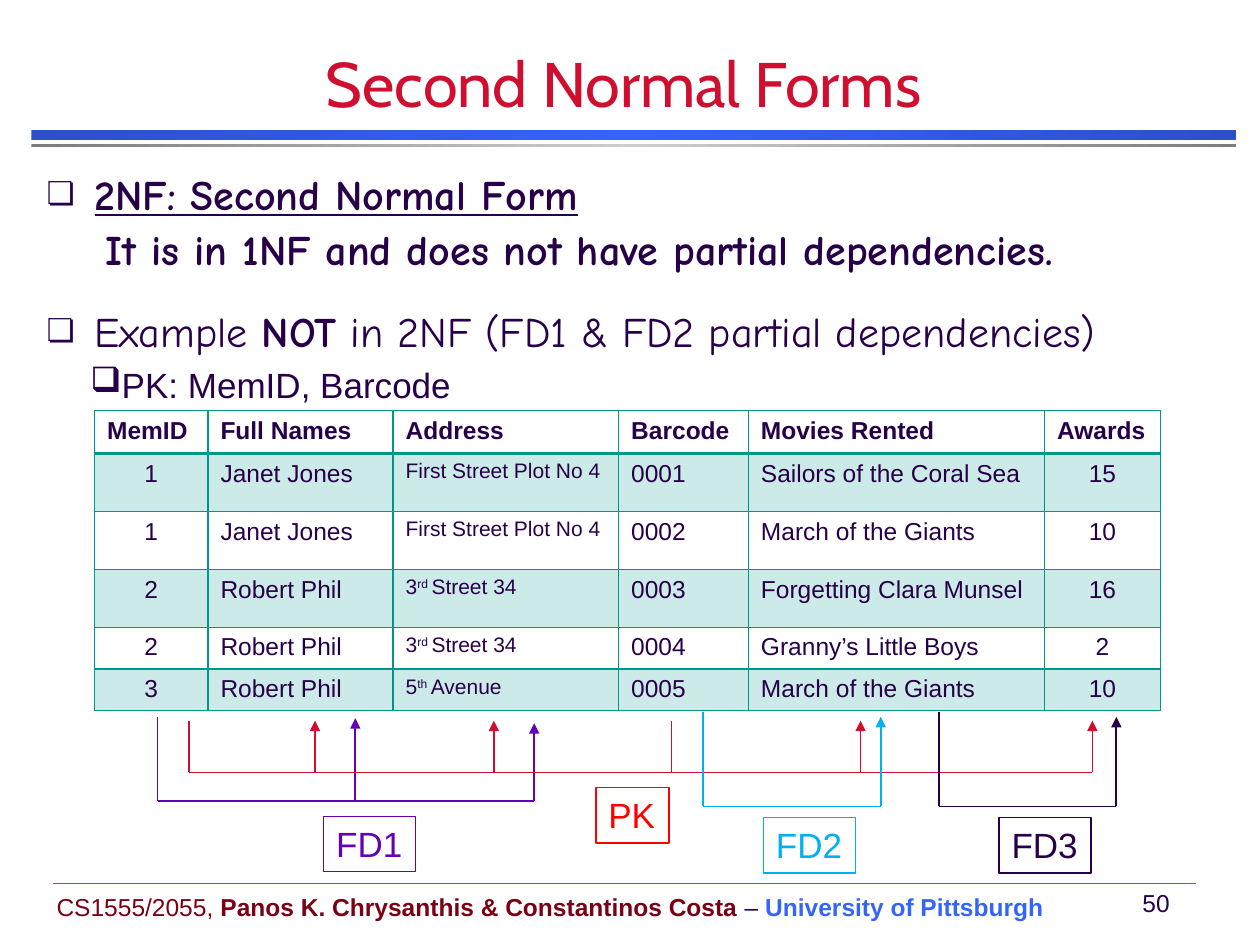
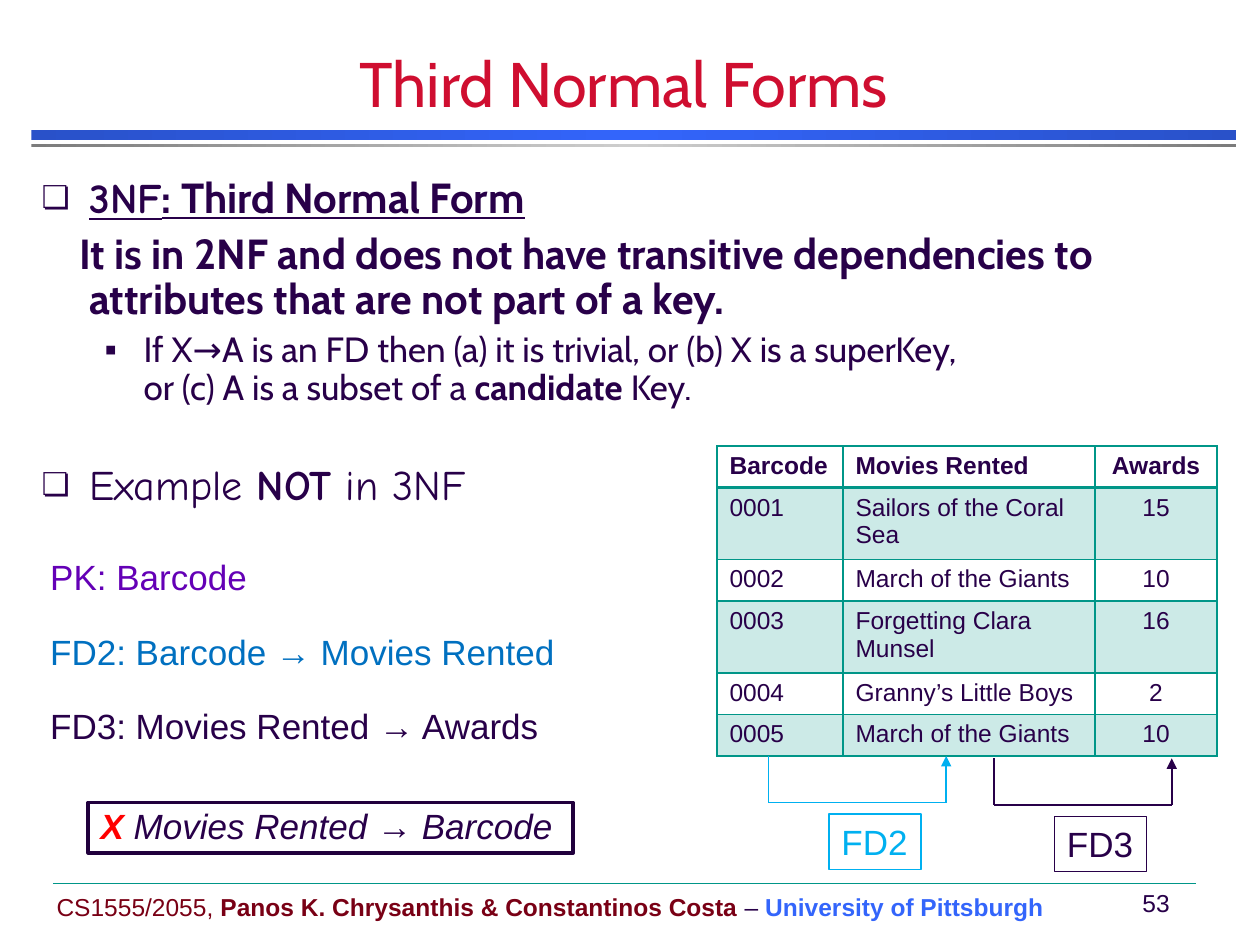
from copy import deepcopy
from dataclasses import dataclass

from pptx import Presentation
from pptx.dml.color import RGBColor
from pptx.enum.shapes import MSO_CONNECTOR, MSO_SHAPE
from pptx.enum.text import MSO_ANCHOR, MSO_AUTO_SIZE, PP_ALIGN
from pptx.oxml import parse_xml
from pptx.oxml.ns import nsdecls, qn
from pptx.util import Inches, Pt

RECT, STRAIGHT = MSO_SHAPE.RECTANGLE, MSO_CONNECTOR.STRAIGHT
LEFT, CENTER = PP_ALIGN.LEFT, PP_ALIGN.CENTER
TOP, MIDDLE, BOTTOM = MSO_ANCHOR.TOP, MSO_ANCHOR.MIDDLE, MSO_ANCHOR.BOTTOM
NO_FIT = MSO_AUTO_SIZE.NONE


@dataclass(frozen=True)
class Theme:
    ink: str = "280049"
    title: str = "CF0E30"
    teal: str = "009688"
    blue: str = "3365FB"
    maroon: str = "790015"
    red: str = "FF0000"
    purple: str = "6400B6"
    sky: str = "00B0F0"
    link: str = "0070C0"
    frame: str = "21003D"
    blue_band: tuple = ("2951C9", "3365FB", "2951C9")
    grey_band: tuple = ("7C7C7C", "CECECE", "7C7C7C")
    sans: str = "Arial"
    head: str = "Cabin"
    hand: str = "Comic Neue"
    title_size: int = 36
    body_size: int = 24
    note_size: int = 20
    cell_size: int = 14
    small_size: int = 12


T = Theme()
NOTE = dict(name=T.sans, size=T.note_size, color=T.ink)
FOOT = dict(name=T.sans, size=T.cell_size, color=T.ink)
HAND = dict(name=T.hand, size=T.body_size, color=T.ink)
HEAD = dict(HAND, name=T.head, bold=True)
POINT = dict(NOTE, name=T.head)

BULLET = dict(margin=0.38, indent=-0.38, bullet="❏", bullet_size=75)
SUB_BULLET = dict(margin=0.81, indent=-0.31, bullet="▪")

MOVIES = [("0001", "Sailors of the Coral Sea", "15"),
          ("0002", "March of the Giants", "10"),
          ("0003", "Forgetting Clara Munsel", "16"),
          ("0004", "Granny’s Little Boys", "2"),
          ("0005", "March of the Giants", "10")]
THIRD_STREET = [("3", {}), ("rd ", {"baseline": 30}), ("Street 34", {})]
FIFTH_AVENUE = [("5", {}), ("th ", {"baseline": 30}), ("Avenue", {})]
MEMBERS = [("1", "Janet Jones", "First Street Plot No 4"),
           ("1", "Janet Jones", "First Street Plot No 4"),
           ("2", "Robert Phil", THIRD_STREET),
           ("2", "Robert Phil", THIRD_STREET),
           ("3", "Robert Phil", FIFTH_AVENUE)]


def rgb(color):
    return RGBColor.from_string(color)


def inches(*values):
    return [Inches(v) for v in values]


def add_runs(p, runs, base):
    """Add (text, format) runs; each format overrides the base format."""
    for text, extra in runs:
        r = p.add_run()
        r.text = text
        fmt = {**base, **extra}
        r.font.color.rgb = rgb(fmt.pop("color"))
        r.font.size = Pt(fmt.pop("size"))
        baseline = fmt.pop("baseline", 0)
        if baseline:
            r.font._element.set("baseline", str(baseline * 1000))
        for name, value in fmt.items():
            setattr(r.font, name, value)


def format_paragraph(p, before=0, spacing=0.9, align=LEFT, margin=0, indent=0,
                     bullet=None, bullet_size=100):
    p.line_spacing, p.space_before, p.alignment = spacing, Pt(before), align
    pPr = p._p.get_or_add_pPr()
    pPr.set("marL", str(Inches(margin)))
    pPr.set("indent", str(Inches(indent)))
    ns = nsdecls("a")
    if bullet:
        parts = [f'<a:buClr {ns}><a:srgbClr val="{T.ink}"/></a:buClr>',
                 f'<a:buSzPct {ns} val="{bullet_size * 1000}"/>',
                 f'<a:buChar {ns} char="{bullet}"/>']
    else:
        parts = [f"<a:buNone {ns}/>"]
    for part in parts:
        pPr.append(parse_xml(part))


def fill_text(tf, paragraphs, base, anchor=TOP, wrap=True):
    """Write (runs, paragraph format) pairs into a text frame."""
    tf.auto_size, tf.vertical_anchor, tf.word_wrap = NO_FIT, anchor, wrap
    for i, (runs, layout) in enumerate(paragraphs):
        p = tf.add_paragraph() if i else tf.paragraphs[0]
        format_paragraph(p, **layout)
        add_runs(p, runs, base)


def text_box(s, box, paragraphs, base, outline=None, width=0.75, **frame):
    sp = s.shapes.add_textbox(*inches(*box))
    fill_text(sp.text_frame, paragraphs, base, **frame)
    if outline:
        sp.line.color.rgb = rgb(outline)
        sp.line.width = Pt(width)


def line(s, ends, color, width=1, arrow=False):
    """Draw a straight line; an arrow points at its first end."""
    c = s.shapes.add_connector(STRAIGHT, *inches(*ends))
    c.line.color.rgb = rgb(color)
    c.line.width = Pt(width)
    spPr = c._element.spPr
    spPr.append(parse_xml(f"<a:effectLst {nsdecls('a')}/>"))
    if arrow:
        head = parse_xml(f'<a:headEnd {nsdecls("a")} type="triangle"/>')
        spPr.find(qn("a:ln")).append(head)


def band(s, box, colors):
    """Draw a bar with a three-stop horizontal gradient."""
    sp = s.shapes.add_shape(RECT, *inches(*box))
    sp.shadow.inherit = False
    sp.line.fill.background()
    sp.fill.gradient()
    sp.fill.gradient_angle = 0
    stops = sp._element.spPr.find(".//" + qn("a:gsLst"))
    middle = deepcopy(stops[0])
    middle.set("pos", "50000")
    stops.insert(1, middle)
    for stop, color in zip(sp.fill.gradient_stops, colors):
        stop.color.rgb = rgb(color)


def place(sp, box):
    for name, value in zip(("left", "top", "width", "height"), inches(*box)):
        setattr(sp, name, value)


def footer(s, number, left=0.35, top=7.01):
    line(s, (left + 0.07, top, left + 9.14, top), T.teal, 0.25)
    runs = [("CS1555/2055, ", {"color": T.maroon}),
            ("Panos K. Chrysanthis & Constantinos Costa",
             {"color": T.maroon, "bold": True}),
            (" – ", {}),
            ("University of Pittsburgh", {"color": T.blue, "bold": True})]
    text_box(s, (left, top + 0.02, 8.11, 0.34), [(runs, dict(spacing=1))],
             FOOT, anchor=MIDDLE, wrap=False)
    text_box(s, (left + 8.58, top - 0.01, 0.49, 0.33),
             [([(number, {})], dict(spacing=1, align=CENTER))],
             FOOT, anchor=MIDDLE, wrap=False)


def add_slide(prs, title, number, body_box, body):
    """Add a slide with bands, footer, title and body text."""
    s = prs.slides.add_slide(prs.slide_layouts[1])
    band(s, (0.25, 1.03, 9.56, 0.08), T.blue_band)
    band(s, (0.25, 1.14, 9.56, 0.03), T.grey_band)
    footer(s, number)
    place(s.shapes.title, (0, 0.42, 9.9, 0.58))
    fill_text(s.shapes.title.text_frame,
              [([(title, {})], dict(spacing=1, align=CENTER))],
              dict(name=T.head, size=T.title_size, color=T.title), anchor=BOTTOM)
    sp = s.placeholders[1]
    place(sp, body_box)
    fill_text(sp.text_frame, body, HAND)
    return s


def format_cell(cell, banded, header):
    if banded:
        cell.fill.solid()
        cell.fill.fore_color.rgb = rgb(T.teal)
        color = cell._tc.tcPr.find(".//" + qn("a:srgbClr"))
        color.append(parse_xml(f'<a:alpha {nsdecls("a")} val="20000"/>'))
    else:
        cell.fill.background()
    for i, side in enumerate(("lnL", "lnR", "lnT", "lnB")):
        width = Pt(2 if header and side == "lnB" else 1)
        cell._tc.tcPr.insert(i, parse_xml(
            f'<a:{side} {nsdecls("a")} w="{width}"><a:solidFill>'
            f'<a:srgbClr val="{T.teal}"/></a:solidFill></a:{side}>'))


def data_table(s, left, top, widths, heights, rows, centered, centered_heads=()):
    size = inches(left, top, sum(widths), sum(heights))
    table = s.shapes.add_table(len(rows), len(widths), *size).table
    table.first_row = table.horz_banding = False
    for column, width in zip(table.columns, widths):
        column.width = Inches(width)
    for row, height in zip(table.rows, heights):
        row.height = Inches(height)
    for i, row in enumerate(rows):
        for j, value in enumerate(row):
            cell = table.cell(i, j)
            header = i == 0
            format_cell(cell, banded=i % 2 == 1, header=header)
            small = not header and rows[0][j] == "Address"
            base = dict(FOOT, bold=header,
                        size=T.small_size if small else T.cell_size)
            p = cell.text_frame.paragraphs[0]
            heads = centered_heads if header else centered
            p.alignment = CENTER if j in heads else LEFT
            add_runs(p, [(value, {})] if isinstance(value, str) else value, base)


def dependency(s, name, color, left, top, depth, legs, label, label_color=None):
    """Join legs (x, y, arrow) by a base line and add a boxed label (x, y, width).

    Leg and label offsets are measured from the left end of the base line.
    """
    base = top + depth
    line(s, (left, base, left + legs[-1][0], base), color)
    for dx, dy, arrow in legs:
        line(s, (left + dx, top + dy, left + dx, base), color, arrow=arrow)
    dx, dy, width = label
    tint = label_color or color
    text_box(s, (left + dx, base + dy, width, 0.44), [([(name, {})], dict(spacing=1))],
             dict(NOTE, color=tint), outline=tint, wrap=False)


def pair(s, name, color, left, top, depth, rise=0.0):
    """Draw a dependency of one column on another."""
    dependency(s, name, color, left, top, depth,
               [(0, 0, False), (1.41, rise, True)], (0.48, 0.09, 0.73))


def example(tail):
    return [("Example ", {}), ("NOT", {"bold": True}), (tail, {})]


def second_form(prs):
    bold = {"bold": True}
    body = [
        ([("2NF: Second Normal Form", dict(bold, underline=True))], BULLET),
        ([("It is in 1NF and does not have partial dependencies.", bold)],
         dict(before=5.5, margin=0.47)),
        (example(" in 2NF (FD1 & FD2 partial dependencies)"),
         dict(BULLET, before=21))]
    s = add_slide(prs, "Second Normal Forms", "50", (0.27, 1.33, 9.5, 1.5), body)
    text_box(s, (0.62, 2.87, 5, 0.4),
             [([("PK: MemID, Barcode", {})], dict(bullet="❑"))], NOTE)
    rows = [("MemID", "Full Names", "Address", "Barcode", "Movies Rented", "Awards")]
    rows += [member + movie for member, movie in zip(MEMBERS, MOVIES)]
    data_table(s, 0.75, 3.26, (0.9, 1.47, 1.79, 1.03, 2.35, 0.92),
               (0.34, 0.46, 0.46, 0.46, 0.33, 0.33), rows, centered=(0, 5))
    dependency(s, "FD1", T.purple, 1.25, 5.69, 0.67,
               [(0, 0, False), (1.57, 0.01, True), (2.99, 0.05, True)],
               (1.32, 0.12, 0.73))
    key_legs = [(0, False), (1, True), (2.42, True), (3.83, False),
                (5.33, True), (7.17, True)]
    dependency(s, "PK", T.title, 1.5, 5.72, 0.41,
               [(dx, 0, arrow) for dx, arrow in key_legs],
               (3.23, 0.12, 0.58), label_color=T.red)
    pair(s, "FD2", T.sky, 5.58, 5.65, 0.75, rise=0.04)
    pair(s, "FD3", T.ink, 7.45, 5.65, 0.75, rise=0.04)


def third_form(prs):
    body = [
        ([("3NF", dict(bold=True, underline=True)),
          (": Third Normal Form", dict(HEAD, underline=True))], BULLET),
        ([("It is in 2NF and does not have transitive dependencies to "
           "attributes that are not part of a key.", HEAD)],
         dict(before=5.8, margin=0.38, indent=-0.08)),
        ([("If X→A is an FD then (a) it is trivial, or (b) X is a superKey,\v"
           "or (c) A is a subset of a ", POINT),
          ("candidate", dict(POINT, bold=True)), (" Key.", POINT)],
         dict(SUB_BULLET, before=4.9)),
        (example(" in 3NF"), dict(BULLET, before=32))]
    # A line break needs its own element, so the point is split at \v below.
    first, rest = body[2][0][0][0].split("\v")
    body[2][0][0] = (first, POINT)
    body[2][0].insert(1, (rest, POINT))
    s = add_slide(prs, "Third Normal Forms", "53", (0.23, 1.36, 9.54, 2.75), body)
    point = s.placeholders[1].text_frame.paragraphs[2]
    point.add_line_break()
    point.runs[0]._r.addnext(point._p.findall(qn("a:br"))[-1])

    facts = [("PK: Barcode", T.purple),
             ("FD2: Barcode → Movies Rented", T.link),
             ("FD3: Movies Rented → Awards", T.ink)]
    text_box(s, (0.3, 4.4, 4.67, 1.92),
             [([(text, {"color": color})], dict(before=21 if i else 0))
              for i, (text, color) in enumerate(facts)], NOTE)
    text_box(s, (0.7, 6.37, 3.85, 0.4),
             [([("X", dict(color=T.red, bold=True)),
                (" Movies Rented → Barcode", {})], {})],
             dict(NOTE, italic=True), outline=T.frame, width=2)
    data_table(s, 5.69, 3.54, (1, 2, 0.97), (0.33, 0.57, 0.33, 0.57, 0.33, 0.33),
               [("Barcode", "Movies Rented", "Awards")] + MOVIES,
               centered=(2,), centered_heads=(2,))
    pair(s, "FD2", T.sky, 6.1, 6, 0.37)
    pair(s, "FD3", T.ink, 7.89, 6.02, 0.37)


def main():
    prs = Presentation()
    prs.slide_width, prs.slide_height = inches(10, 7.5)
    second_form(prs)
    third_form(prs)
    prs.save("out.pptx")


if __name__ == "__main__":
    main()
